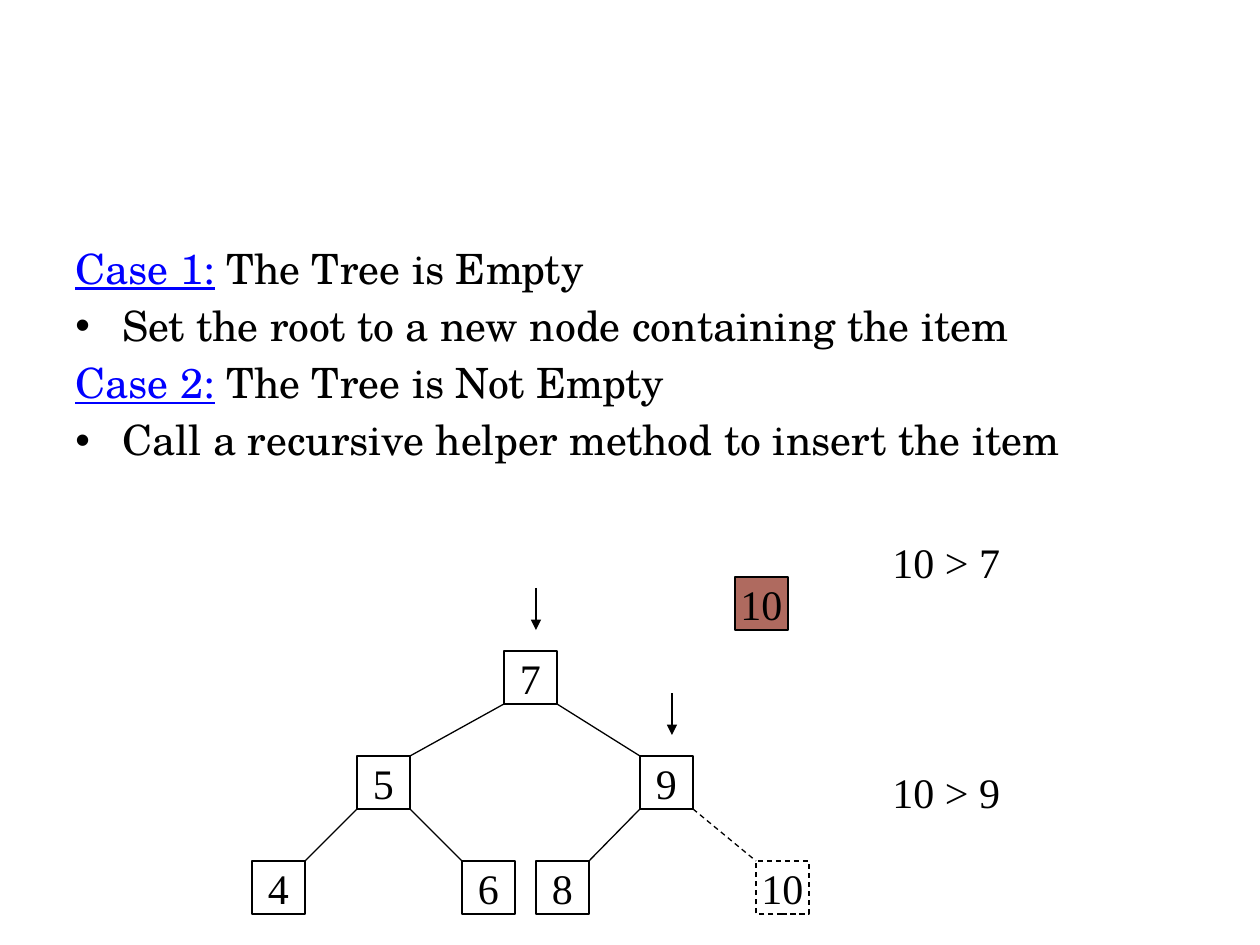
from lxml.etree import SubElement
from pptx import Presentation
from pptx.dml.color import RGBColor
from pptx.enum.dml import MSO_LINE
from pptx.enum.shapes import MSO_CONNECTOR, MSO_SHAPE
from pptx.enum.text import MSO_ANCHOR, PP_ALIGN
from pptx.oxml.ns import qn
from pptx.util import Emu, Pt

PX_PER_INCH = 126
BLACK = RGBColor(0x00, 0x00, 0x00)
BLUE = RGBColor(0x00, 0x00, 0xFF)
BRICK = RGBColor(0xAF, 0x6A, 0x5F)

CASE_FONT = {"name": "TeX Gyre Schola", "size": Pt(23.8)}
TREE_FONT = {"name": "Times New Roman", "size": Pt(24)}
CASE_SPACING = {"line_spacing": 0.9, "space_before": Pt(7)}
NODE_FRAME = {"word_wrap": False, "vertical_anchor": MSO_ANCHOR.MIDDLE}

CASES = [
    ("Case 1:", " The Tree is Empty", "Set the root to a new node containing the item"),
    ("Case 2:", " The Tree is Not Empty", "Call a recursive helper method to insert the item"),
]

NODE = 53
LEVEL = 105
ROOT_TOP = 74
# key: (label, left, depth)
NODES = {
    "root": ("7", 252, 0),
    "left": ("5", 105, 1),
    "right": ("9", 388, 1),
    "left low": ("4", 0, 2),
    "left high": ("6", 210, 2),
    "right low": ("8", 284, 2),
    "inserted": ("10", 504, 2),
}
EDGES = [
    ("root", "left"), ("root", "right"),
    ("left", "left low"), ("left", "left high"),
    ("right", "right low"), ("right", "inserted"),
]
VISITED = ["root", "right"]


def px(length):
    return Emu(round(length * 914400 / PX_PER_INCH))


def apply(target, values):
    for name, value in values.items():
        setattr(target, name, value)


def add_run(paragraph, text, font, color=BLACK, **extra):
    run = paragraph.add_run()
    run.text = text
    apply(run.font, {**font, **extra})
    run.font.color.rgb = color


def outline(line, dashed):
    line.color.rgb = BLACK
    line.width = Pt(0.75)
    if dashed:
        line.dash_style = MSO_LINE.DASH


def add_line(slide, start, end, dashed=False, arrow=False):
    line = slide.shapes.add_connector(
        MSO_CONNECTOR.STRAIGHT, *map(px, (*start, *end)))
    outline(line.line, dashed)
    properties = line._element.spPr
    if arrow:
        SubElement(properties.find(qn("a:ln")), qn("a:tailEnd"), type="triangle")
    SubElement(properties, qn("a:effectLst"))


def add_node(slide, label, left, top, fill=None, dashed=False):
    node = slide.shapes.add_shape(
        MSO_SHAPE.RECTANGLE, *map(px, (left, top, NODE, NODE)))
    node.shadow.inherit = False
    if fill is None:
        node.fill.background()
    else:
        node.fill.solid()
        node.fill.fore_color.rgb = fill
    outline(node.line, dashed)
    apply(node.text_frame, NODE_FRAME)
    paragraph = node.text_frame.paragraphs[0]
    paragraph.alignment = PP_ALIGN.CENTER
    add_run(paragraph, label, TREE_FONT)


def add_paragraphs(slide, box, count):
    frame = slide.shapes.add_textbox(*map(px, box)).text_frame
    frame.word_wrap = True
    for _ in range(count - 1):
        frame.add_paragraph()
    return frame.paragraphs


def add_cases(slide, box):
    """Write each case as a heading with one bulleted step below it."""
    paragraphs = add_paragraphs(slide, box, 2 * len(CASES))
    for paragraph in paragraphs:
        apply(paragraph, CASE_SPACING)
    paragraphs[0].space_before = Pt(0)
    for (case, condition, step), heading, bullet in zip(
            CASES, paragraphs[::2], paragraphs[1::2]):
        add_run(heading, case, CASE_FONT, BLUE, underline=True)
        add_run(heading, condition, CASE_FONT)
        properties = bullet._p.get_or_add_pPr()
        properties.set("marL", str(px(47)))
        properties.set("indent", str(-px(47)))
        SubElement(properties, qn("a:buFont"), typeface="Arial")
        SubElement(properties, qn("a:buChar"), char="•")
        add_run(bullet, step, CASE_FONT)


def add_tree(slide, left, top):
    """Draw the search tree, the item to insert and the visited-node arrows."""
    corners = {
        key: (left + x, top + ROOT_TOP + depth * LEVEL)
        for key, (_, x, depth) in NODES.items()
    }
    for parent, child in EDGES:
        (parent_x, parent_y), (child_x, child_y) = corners[parent], corners[child]
        goes_right = child_x > parent_x
        add_line(slide,
                 (parent_x + NODE * goes_right, parent_y + NODE),
                 (child_x + NODE * (not goes_right), child_y),
                 dashed=child == "inserted")
    for key, (label, _, _) in NODES.items():
        add_node(slide, label, *corners[key], dashed=key == "inserted")
    add_node(slide, "10", left + 483, top, fill=BRICK)
    for key in VISITED:
        x, y = corners[key]
        add_line(slide, (x + 32, y - 63), (x + 32, y - 21), arrow=True)


def add_comparisons(slide, box):
    """Put each comparison beside the tree level where it is made."""
    first, second = add_paragraphs(slide, box, 2)
    add_run(first, "10 > 7", TREE_FONT)
    add_run(second, "10 > 9", TREE_FONT)
    second.space_before = Pt(103)


def main():
    presentation = Presentation()
    presentation.slide_width = px(1260)
    presentation.slide_height = px(945)
    slide = presentation.slides.add_slide(presentation.slide_layouts[6])
    add_cases(slide, (63, 242, 1071, 357))
    add_tree(slide, 252, 577)
    add_comparisons(slide, (880, 530, 275, 370))
    presentation.save("out.pptx")


if __name__ == "__main__":
    main()
